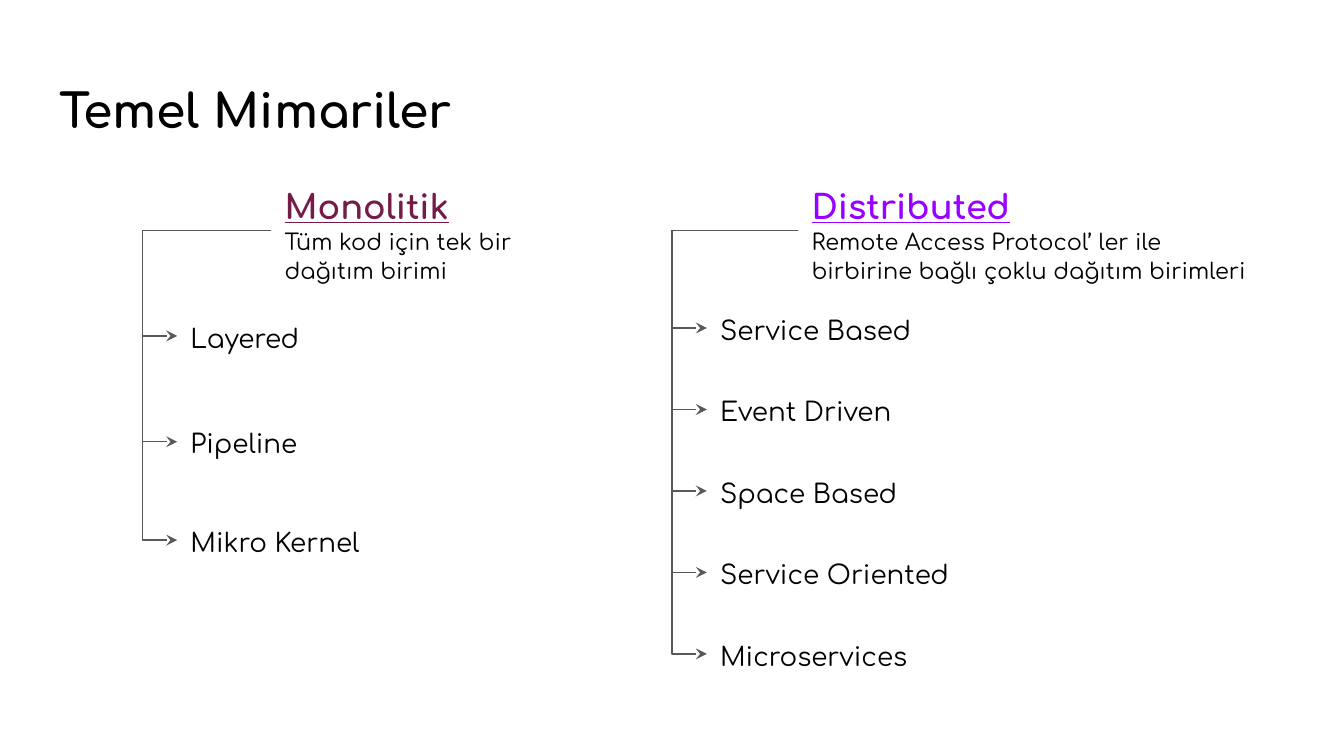
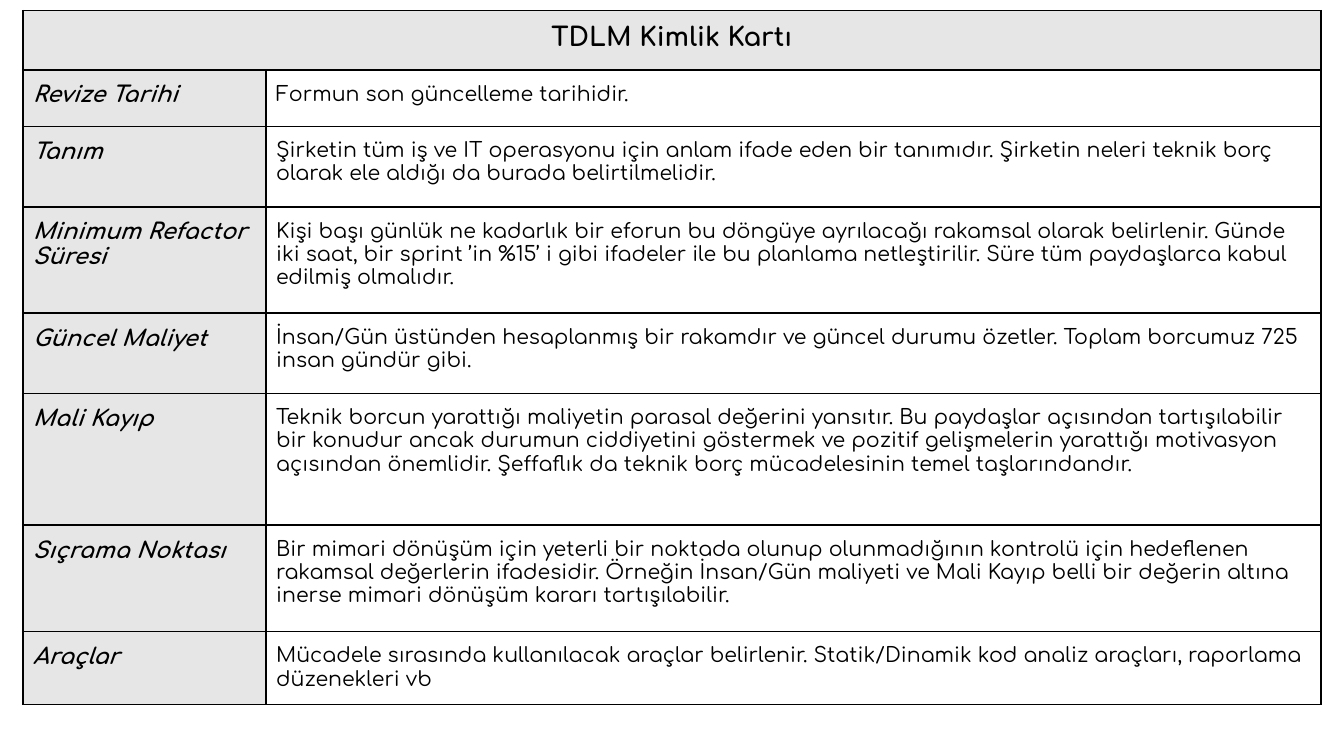
from lxml.etree import SubElement as Sub
from pptx import Presentation
from pptx.dml.color import RGBColor
from pptx.enum.shapes import MSO_CONNECTOR as Link
from pptx.enum.text import MSO_ANCHOR as Anchor, MSO_AUTO_SIZE as Fit, PP_ALIGN as Align
from pptx.oxml.ns import qn
from pptx.util import Cm, Pt

BLACK = RGBColor(0x00, 0x00, 0x00)
WHITE = RGBColor(0xFF, 0xFF, 0xFF)
GREY = RGBColor(0x59, 0x59, 0x59)
PALE = RGBColor(0xE7, 0xE6, 0xE6)
WINE = RGBColor(0x74, 0x1B, 0x47)
VIOLET = RGBColor(0x99, 0x00, 0xFF)

TITLE_ONLY, BLANK = 5, 6
PAD = 0.25
HEAD_TOP, HEAD_H = 3.2, 2.31
ITEM_H = 1.12
BEND = 0.66  # distance from the trunk of a tree to its items

# heading, note, colour, heading left, width, item left, items (text, top, width)
TREES = [
    ("Monolitik", "Tüm kod için tek bir dağıtım birimi", WINE, 5.13, 5.18, 3.35,
     [("Layered", 5.79, 2.9), ("Pipeline", 7.79, 2.9), ("Mikro Kernel", 9.65, 4.6)]),
    ("Distributed",
     "Remote Access Protocol’ ler ile birbirine bağlı çoklu dağıtım birimleri",
     VIOLET, 15.09, 9.04, 13.36,
     [(name, 5.64 + 1.54 * i, 5.18) for i, name in enumerate(
         ["Service Based", "Event Driven", "Space Based",
          "Service Oriented", "Microservices"])]),
]

CARD = "TDLM Kimlik Kartı"
CARD_H = 1.12
# label, meaning, row height
ROWS = [
    ("Revize Tarihi", "Formun son güncelleme tarihidir.", 1.07),
    ("Tanım",
     "Şirketin tüm iş ve IT operasyonu için anlam ifade eden bir tanımıdır. "
     "Şirketin neleri teknik borç olarak ele aldığı da burada belirtilmelidir.", 1.52),
    ("Minimum Refactor Süresi",
     "Kişi başı günlük ne kadarlık bir eforun bu döngüye ayrılacağı rakamsal olarak "
     "belirlenir. Günde iki saat, bir sprint ’in %15’ i gibi ifadeler ile bu planlama "
     "netleştirilir. Süre tüm paydaşlarca kabul edilmiş olmalıdır.", 2.01),
    ("Güncel Maliyet",
     "İnsan/Gün üstünden hesaplanmış bir rakamdır ve güncel durumu özetler. "
     "Toplam borcumuz 725 insan gündür gibi.", 1.52),
    ("Mali Kayıp",
     "Teknik borcun yarattığı maliyetin parasal değerini yansıtır. Bu paydaşlar "
     "açısından tartışılabilir bir konudur ancak durumun ciddiyetini göstermek ve "
     "pozitif gelişmelerin yarattığı motivasyon açısından önemlidir. Şeffaflık da "
     "teknik borç mücadelesinin temel taşlarındandır.", 2.49),
    ("Sıçrama Noktası",
     "Bir mimari dönüşüm için yeterli bir noktada olunup olunmadığının kontrolü için "
     "hedeflenen rakamsal değerlerin ifadesidir. Örneğin İnsan/Gün maliyeti ve Mali "
     "Kayıp belli bir değerin altına inerse mimari dönüşüm kararı tartışılabilir.", 2.01),
    ("Araçlar",
     "Mücadele sırasında kullanılacak araçlar belirlenir. Statik/Dinamik kod analiz "
     "araçları, raporlama düzenekleri vb", 1.38),
]


class Deck:
    face = "Comfortaa"
    lead = 1.08

    def __init__(self):
        self.prs = Presentation()
        self.prs.slide_width, self.prs.slide_height = Cm(25.4), Cm(14.29)
        self.slide = None

    def add(self, layout):
        self.slide = self.prs.slides.add_slide(self.prs.slide_layouts[layout])

    def style(self, font, size, color=BLACK, bold=False, italic=False, under=False):
        font.name, font.size, font.color.rgb = self.face, Pt(size), color
        font.bold, font.italic, font.underline = bold, italic, under

    def inset(self, frame, anchor):
        frame.word_wrap, frame.auto_size = True, Fit.NONE
        frame.vertical_anchor = anchor
        frame.margin_left = frame.margin_right = Cm(PAD)
        frame.margin_top = frame.margin_bottom = Cm(PAD)
        para = frame.paragraphs[0]
        para.alignment, para.line_spacing = Align.LEFT, self.lead
        return para

    def title(self, text):
        shape = self.slide.shapes.title
        shape.left, shape.top = Cm(0.87), Cm(1.24)
        shape.width, shape.height = Cm(23.67), Cm(1.6)
        shape.text_frame.text = text
        para = self.inset(shape.text_frame, Anchor.MIDDLE)
        self.style(para.font, 25.2, bold=True)

    def box(self, left, top, width, height):
        shape = self.slide.shapes.add_textbox(Cm(left), Cm(top), Cm(width), Cm(height))
        return self.inset(shape.text_frame, Anchor.TOP)

    def head(self, text, note, color, left, width):
        para = self.box(left, HEAD_TOP, width, HEAD_H)
        run = para.add_run()
        run.text = text
        self.style(run.font, 18, color, bold=True, under=True)
        para.add_line_break()
        run = para.add_run()
        run.text = note
        self.style(run.font, 12)

    def item(self, text, left, top, width):
        para = self.box(left, top, width, ITEM_H)
        para.text = text
        self.style(para.font, 14)

    def elbow(self, x1, y1, x2, y2):
        """Arrow that runs back past its end, down, and forward to the end."""
        link = self.slide.shapes.add_connector(Link.ELBOW, Cm(x1), Cm(y1), Cm(x2), Cm(y2))
        link.line.color.rgb, link.line.width = GREY, Pt(0.75)
        props = link.element.spPr
        bend = round(100000 * (1 + BEND / (x1 - x2)))
        guides = props.find(qn("a:prstGeom")).get_or_add_avLst()
        Sub(guides, qn("a:gd"), name="adj1", fmla=f"val {bend}")
        Sub(props.find(qn("a:ln")), qn("a:tailEnd"), type="stealth")
        Sub(props, qn("a:effectLst"))

    def tree(self, name, note, color, left, width, start, items):
        self.head(name, note, color, left, width)
        for text, top, wide in items:
            self.item(text, start, top, wide)
            self.elbow(left, HEAD_TOP + HEAD_H / 2, start, top + ITEM_H / 2)

    def cell(self, cell, text, size, fill, align=Align.LEFT, **look):
        cell.text = text
        cell.margin_left = cell.margin_right = Cm(0.19)
        cell.margin_top = cell.margin_bottom = Cm(PAD)
        cell.vertical_anchor = Anchor.TOP
        para = cell.text_frame.paragraphs[0]
        para.alignment = align
        self.style(para.font, size, **look)
        props = cell._tc.get_or_add_tcPr()
        for side in ("lnL", "lnR", "lnT", "lnB"):
            line = Sub(props, qn(f"a:{side}"), w=str(Pt(1)))
            Sub(Sub(line, qn("a:solidFill")), qn("a:srgbClr"), val=str(BLACK))
        cell.fill.solid()
        cell.fill.fore_color.rgb = fill

    def card(self, name, rows):
        highs = [CARD_H] + [high for _, _, high in rows]
        wides = [4.6, 19.94]
        grid = self.slide.shapes.add_table(
            len(highs), 2, Cm(0.43), Cm(0.2), Cm(sum(wides)), Cm(sum(highs))).table
        grid.first_row = grid.horz_banding = False
        for col, wide in zip(grid.columns, wides):
            col.width = Cm(wide)
        for row, high in zip(grid.rows, highs):
            row.height = Cm(high)
        grid.cell(0, 0).merge(grid.cell(0, 1))
        self.cell(grid.cell(0, 0), name, 14, PALE, Align.CENTER, bold=True)
        self.cell(grid.cell(0, 1), "", 14, PALE)
        for i, (label, text, _) in enumerate(rows, 1):
            self.cell(grid.cell(i, 0), label, 12, PALE, bold=True, italic=True)
            self.cell(grid.cell(i, 1), text, 11, WHITE)


def main():
    deck = Deck()
    deck.add(TITLE_ONLY)
    deck.title("Temel Mimariler")
    for tree in TREES:
        deck.tree(*tree)
    deck.add(BLANK)
    deck.card(CARD, ROWS)
    deck.prs.save("out.pptx")


if __name__ == "__main__":
    main()
